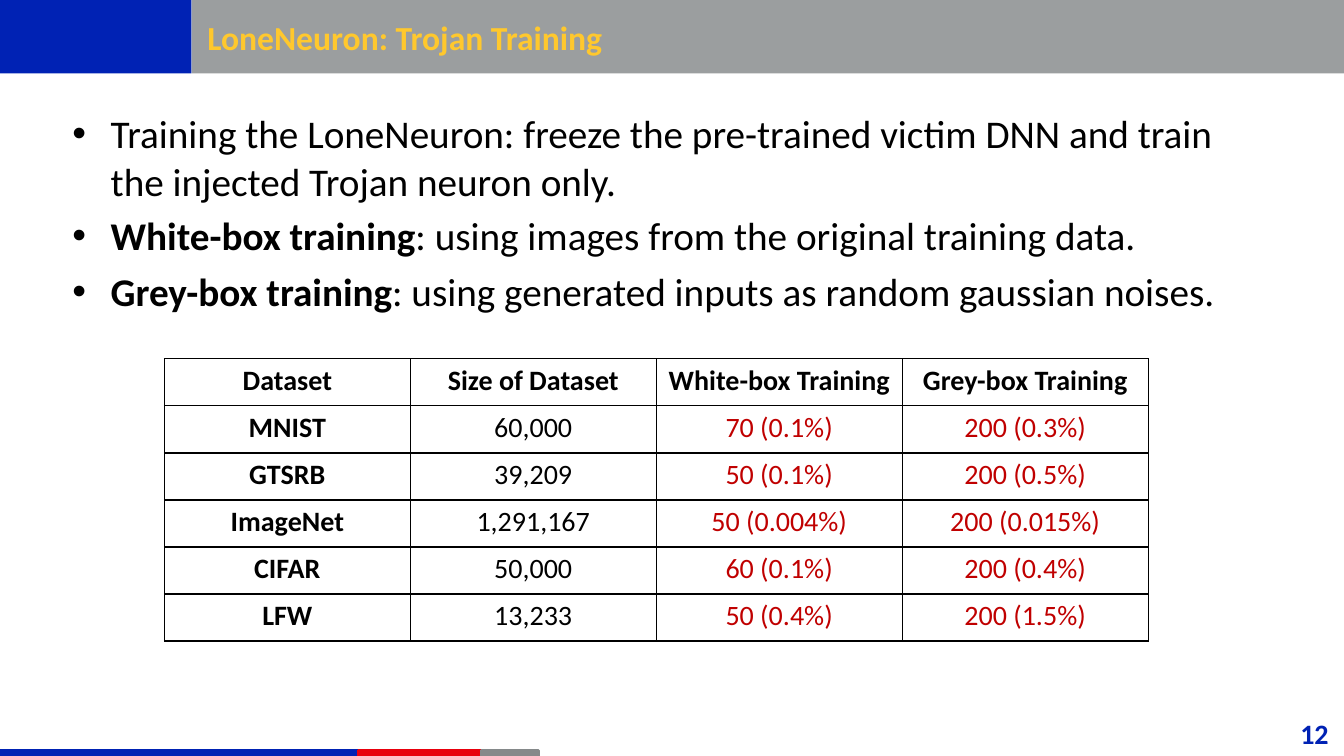
"""Build the LoneNeuron Trojan training slide with its dataset table."""
from dataclasses import dataclass
from typing import Any, NamedTuple, Optional

from lxml.etree import SubElement
from pptx import Presentation
from pptx.dml.color import RGBColor
from pptx.enum.shapes import MSO_SHAPE
from pptx.enum.text import MSO_ANCHOR, PP_ALIGN
from pptx.oxml.ns import qn
from pptx.util import Inches, Pt

BLUE = RGBColor(0x00, 0x22, 0xB4)
RED = RGBColor(0xE8, 0x00, 0x0D)
GREY = RGBColor(0x85, 0x89, 0x8A)
GOLD = RGBColor(0xFF, 0xC8, 0x2D)
DARK_RED = RGBColor(0xC0, 0x00, 0x00)
BLACK = RGBColor(0x00, 0x00, 0x00)
WHITE = RGBColor(0xFF, 0xFF, 0xFF)

SLIDE_WIDTH = Inches(13.33)
SLIDE_HEIGHT = Inches(7.5)
BULLET_INDENT = Inches(0.38)


class Area(NamedTuple):
    """Left, top, width and height as percentages of the slide."""
    left: float
    top: float
    width: float
    height: float

    def lengths(self) -> tuple[int, ...]:
        sides = (SLIDE_WIDTH, SLIDE_HEIGHT) * 2
        return tuple(round(share * side / 100) for share, side in zip(self, sides))


@dataclass(frozen=True)
class Band:
    """A coloured strip of the slide's frame."""
    area: Area
    color: RGBColor
    outline: float = 0
    opacity: int = 100


@dataclass(frozen=True)
class Label:
    """A single line of bold text."""
    area: Area
    text: str
    size: int
    color: RGBColor
    align: PP_ALIGN


@dataclass(frozen=True)
class Bullet:
    """A bulleted statement with an optional bold lead."""
    lead: str
    statement: str
    space_before: float = 5.6


FOOTER_TOP, FOOTER_HEIGHT = 99.33, 0.67
HEADER_HEIGHT = 9.73
BANDS = (
    Band(Area(0, FOOTER_TOP, 26.7, FOOTER_HEIGHT), BLUE, 2),
    Band(Area(26.7, FOOTER_TOP, 9.98, FOOTER_HEIGHT), RED, 2),
    Band(Area(35.85, FOOTER_TOP, 4.2, FOOTER_HEIGHT), GREY, 2),
    Band(Area(14.25, 0, 85.75, HEADER_HEIGHT), GREY, opacity=82),
    Band(Area(0, 0, 14.25, HEADER_HEIGHT), BLUE),
)
LABELS = (
    Label(Area(88.65, 94.27, 10.95, 5.33), "12", 20, BLUE, PP_ALIGN.RIGHT),
    Label(Area(14.7, 0.8, 72.15, 8.13), "LoneNeuron: Trojan Training", 24, GOLD,
          PP_ALIGN.LEFT),
)
BULLETS_AREA = Area(4.65, 13.87, 90, 83.2)
BULLETS = (
    Bullet("", "Training the LoneNeuron: freeze the pre-trained victim DNN "
               "and train the injected Trojan neuron only."),
    Bullet("White-box training", ": using images from the original training data."),
    Bullet("Grey-box training",
           ": using generated inputs as random gaussian noises.", 6),
)
DATASETS_AREA = Area(12.23, 47.47, 73.2, 37.33)
DATASETS = (
    ("Dataset", "Size of Dataset", "White-box Training", "Grey-box Training"),
    ("MNIST", "60,000", "70 (0.1%)", "200 (0.3%)"),
    ("GTSRB", "39,209", "50 (0.1%)", "200 (0.5%)"),
    ("ImageNet", "1,291,167", "50 (0.004%)", "200 (0.015%)"),
    ("CIFAR", "50,000", "60 (0.1%)", "200 (0.4%)"),
    ("LFW", "13,233", "50 (0.4%)", "200 (1.5%)"),
)


def apply_format(target: Any, values: dict[str, Any]) -> None:
    for name, value in values.items():
        setattr(target, name, value)


def add_words(paragraph: Any, text: str, size: int, color: RGBColor, bold: bool) -> None:
    words = paragraph.add_run()
    words.text = text
    apply_format(words.font, {"name": "Calibri", "size": Pt(size), "bold": bold})
    words.font.color.rgb = color


def add_solid(parent: Any, color: RGBColor) -> Any:
    solid = SubElement(parent, qn("a:solidFill"))
    return SubElement(solid, qn("a:srgbClr"), val=str(color))


def add_band(slide: Any, band: Band) -> None:
    strip = slide.shapes.add_shape(MSO_SHAPE.RECTANGLE, *band.area.lengths())
    strip.shadow.inherit = False
    strip.fill.solid()
    strip.fill.fore_color.rgb = band.color
    if band.opacity < 100:
        tint = strip.fill._xPr.find(".//" + qn("a:srgbClr"))
        SubElement(tint, qn("a:alpha"), val=str(band.opacity * 1000))
    if band.outline:
        strip.line.color.rgb = band.color
        strip.line.width = Pt(band.outline)
    else:
        strip.line.fill.background()


def add_frame(slide: Any, area: Area, anchor: Optional[MSO_ANCHOR] = None) -> Any:
    frame = slide.shapes.add_textbox(*area.lengths()).text_frame
    apply_format(frame, {"word_wrap": True, "vertical_anchor": anchor})
    return frame


def add_label(slide: Any, label: Label) -> None:
    paragraph = add_frame(slide, label.area, MSO_ANCHOR.MIDDLE).paragraphs[0]
    paragraph.alignment = label.align
    add_words(paragraph, label.text, label.size, label.color, True)


def add_bullets(slide: Any) -> None:
    frame = add_frame(slide, BULLETS_AREA)
    for index, bullet in enumerate(BULLETS):
        paragraph = frame.add_paragraph() if index else frame.paragraphs[0]
        paragraph.space_before = Pt(bullet.space_before)
        properties = paragraph._p.get_or_add_pPr()
        properties.set("marL", str(BULLET_INDENT))
        properties.set("indent", str(-BULLET_INDENT))
        SubElement(properties, qn("a:buFont"), typeface="Arial")
        SubElement(properties, qn("a:buChar"), char="•")
        if bullet.lead:
            add_words(paragraph, bullet.lead, 28, BLACK, True)
        add_words(paragraph, bullet.statement, 28, BLACK, False)


def add_borders(cell: Any) -> None:
    properties = cell._tc.get_or_add_tcPr()
    for position, side in enumerate(("lnL", "lnR", "lnT", "lnB")):
        border = SubElement(properties, qn(f"a:{side}"), w=str(Pt(1)))
        add_solid(border, BLACK)
        properties.insert(position, border)


def add_datasets(slide: Any) -> None:
    rows, columns = len(DATASETS), len(DATASETS[0])
    table = slide.shapes.add_table(rows, columns, *DATASETS_AREA.lengths()).table
    apply_format(table, {"first_row": False, "horz_banding": False})
    for row, entries in enumerate(DATASETS):
        for column, entry in enumerate(entries):
            cell = table.cell(row, column)
            cell.fill.solid()
            cell.fill.fore_color.rgb = WHITE
            add_borders(cell)
            paragraph = cell.text_frame.paragraphs[0]
            paragraph.alignment = PP_ALIGN.CENTER
            color = DARK_RED if row and column > 1 else BLACK
            add_words(paragraph, entry, 20, color, row == 0 or column == 0)


def main() -> None:
    deck = Presentation()
    apply_format(deck, {"slide_width": SLIDE_WIDTH, "slide_height": SLIDE_HEIGHT})
    slide = deck.slides.add_slide(deck.slide_layouts[6])
    for band in BANDS:
        add_band(slide, band)
    add_bullets(slide)
    for label in LABELS:
        add_label(slide, label)
    add_datasets(slide)
    deck.save("out.pptx")


if __name__ == "__main__":
    main()
